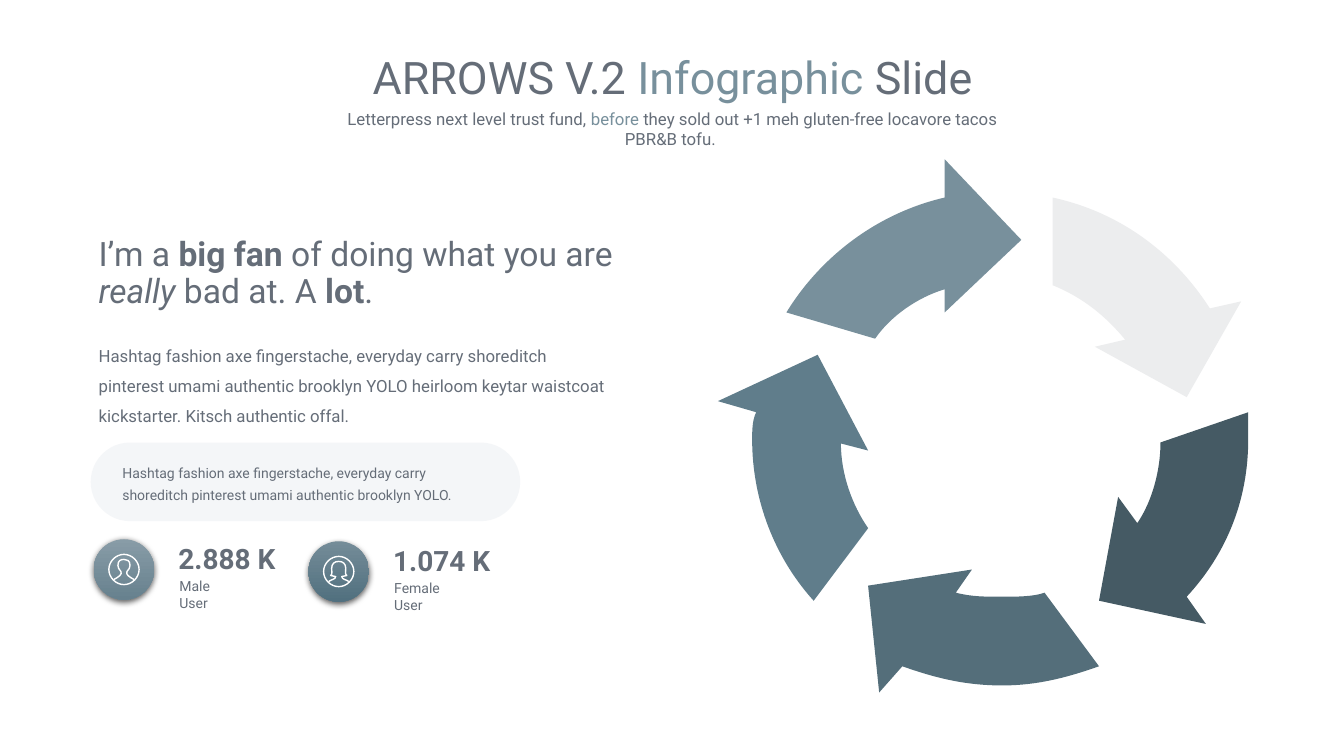
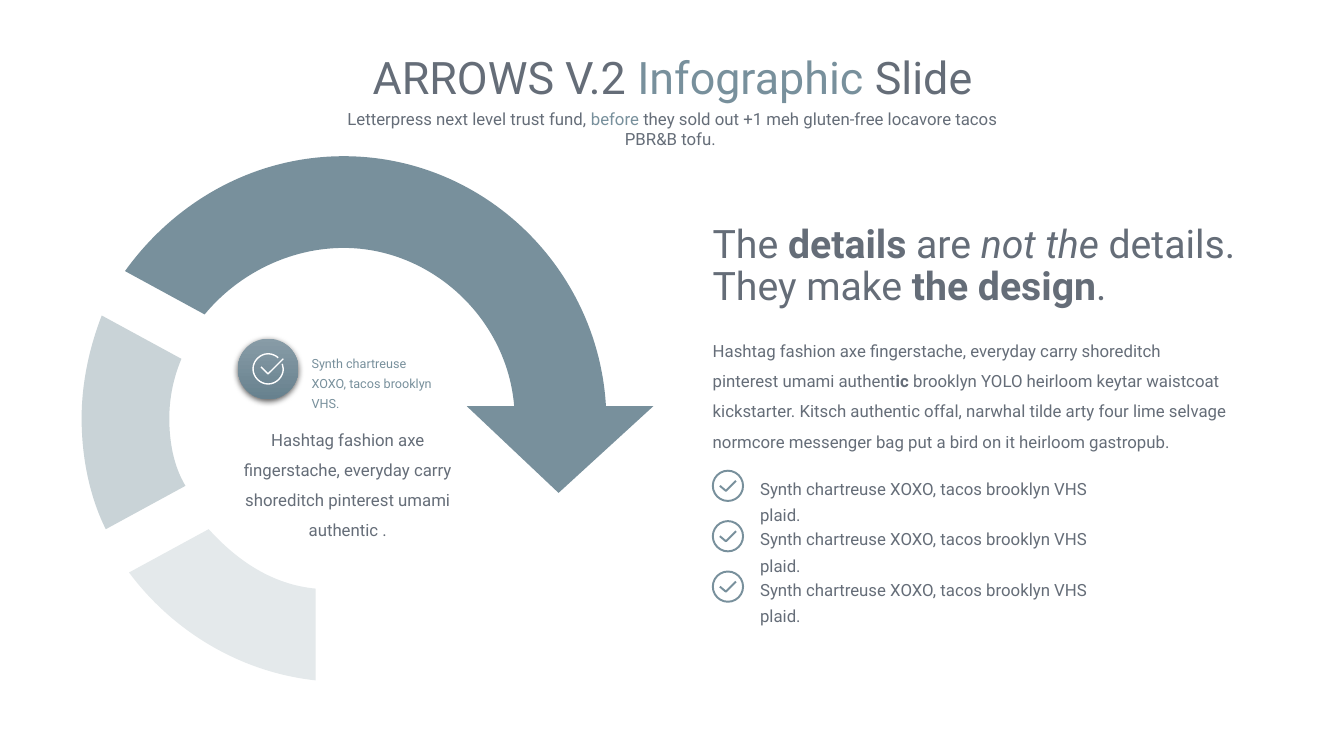
"""Build two arrow infographic slides."""
from dataclasses import dataclass
from typing import Any, NamedTuple, Optional

import lxml.etree
import pptx
import pptx.dml.color
import pptx.enum.shapes
import pptx.enum.text
import pptx.oxml.ns
import pptx.util

Inches = pptx.util.Inches
Pt = pptx.util.Pt
RGBColor = pptx.dml.color.RGBColor
Shape = pptx.enum.shapes.MSO_SHAPE
Align = pptx.enum.text.PP_ALIGN
qn = pptx.oxml.ns.qn

INK = RGBColor(0x65, 0x6D, 0x78)
STEEL = RGBColor(0x78, 0x90, 0x9C)
SLATE = RGBColor(0x60, 0x7D, 0x8B)
TEAL = RGBColor(0x54, 0x6E, 0x7A)
DARK = RGBColor(0x45, 0x5A, 0x64)
PALE = RGBColor(0xEC, 0xED, 0xEE)
MIST = RGBColor(0xE4, 0xE9, 0xEB)
FOG = RGBColor(0xC9, 0xD3, 0xD7)
CLOUD = RGBColor(0xD6, 0xDC, 0xE5)
WHITE = RGBColor(0xFF, 0xFF, 0xFF)
LIGHT = (RGBColor(0x88, 0x9C, 0xA7), RGBColor(0x67, 0x81, 0x8E))
DEEP = (RGBColor(0x74, 0x8C, 0x98), RGBColor(0x51, 0x70, 0x7F))
FONT = "Roboto"
DISC = 0.6

Step = tuple[float, ...]
Point = tuple[float, float]


class Run(NamedTuple):
    """A stretch of text with its own look."""
    text: str
    color: Optional[RGBColor] = None
    bold: bool = False
    slant: bool = False


class Box(NamedTuple):
    """A frame in inches."""
    left: float
    top: float
    width: float
    height: float


@dataclass
class Style:
    """The look of a paragraph."""
    size: float
    color: RGBColor = INK
    space: float = 1.0
    align: Any = Align.LEFT
    bold: bool = False
    inset: tuple[float, float] = (0.1, 0.05)


@dataclass
class Arrow:
    """A filled outline of points and curves."""
    fill: RGBColor
    steps: list[Step]


@dataclass
class Stat:
    """A user count with its badge."""
    left: float
    top: float
    count: str
    label: str
    shades: tuple[RGBColor, RGBColor]
    half: list[Step]


TITLE = Style(32, align=Align.CENTER)
SUB = Style(12, align=Align.CENTER)
BODY = Style(12, space=1.5)
ITEM = Style(12, space=1.3)
PILL = Style(10, space=1.3, inset=(0.2, 0.05))
COUNT = Style(20, bold=True)
LABEL = Style(10, inset=(0, 0))

CYCLE = [
    Arrow(STEEL, [(10.13, 2.38), (9.37, 1.58), (9.37, 1.96), (8.72, 2.11, 8.15, 2.53, 7.8, 3.1),
                  (8.68, 3.36), (8.83, 3.14, 9.1, 2.95, 9.37, 2.87), (9.37, 3.1)]),
    Arrow(SLATE, [(8.11, 3.52), (7.12, 3.98), (7.5, 4.09), (7.46, 4.17, 7.46, 4.28, 7.46, 4.36),
                  (7.46, 4.97, 7.69, 5.54, 8.07, 5.96), (8.61, 5.24),
                  (8.45, 5.01, 8.34, 4.7, 8.34, 4.4), (8.61, 4.47)]),
    Arrow(TEAL, [(9.64, 5.65), (8.61, 5.81), (8.72, 6.87), (8.95, 6.61),
                 (9.26, 6.72, 9.56, 6.8, 9.94, 6.8), (10.29, 6.8, 10.59, 6.72, 10.9, 6.61),
                 (10.36, 5.88), (10.25, 5.92, 10.09, 5.92, 9.94, 5.92),
                 (9.75, 5.92, 9.64, 5.92, 9.48, 5.88)]),
    Arrow(DARK, [(12.38, 4.09), (11.51, 4.39), (11.51, 4.66, 11.43, 4.97, 11.28, 5.19),
                 (11.09, 4.93), (10.9, 5.96), (11.96, 6.19), (11.77, 5.92),
                 (12.16, 5.5, 12.38, 4.97, 12.38, 4.36)]),
    Arrow(PALE, [(10.44, 1.96), (10.44, 2.83), (10.74, 2.95, 10.97, 3.14, 11.16, 3.37),
                 (10.86, 3.44), (11.77, 3.94), (12.31, 2.99), (12, 3.06),
                 (11.66, 2.53, 11.13, 2.11, 10.44, 1.96)]),
]
SWEEP = [
    Arrow(MIST, [(2.07, 5.25), (1.28, 5.68), (1.72, 6.27, 2.39, 6.67, 3.13, 6.75),
                 (3.13, 5.84), (2.7, 5.8, 2.35, 5.56, 2.07, 5.25)]),
    Arrow(FOG, [(1.01, 3.13), (0.89, 3.44, 0.81, 3.79, 0.81, 4.15),
                (0.81, 4.54, 0.89, 4.93, 1.05, 5.25), (1.84, 4.82),
                (1.72, 4.62, 1.68, 4.38, 1.68, 4.15), (1.68, 3.95, 1.72, 3.75, 1.8, 3.56)]),
    Arrow(STEEL, [(6.01, 4.03), (5.93, 2.65, 4.79, 1.55, 3.41, 1.55),
                  (2.5, 1.55, 1.72, 2.02, 1.24, 2.69), (2.03, 3.12),
                  (2.35, 2.73, 2.86, 2.46, 3.41, 2.46), (4.28, 2.46, 5.03, 3.16, 5.1, 4.03),
                  (4.63, 4.03), (5.54, 4.89), (6.48, 4.03)]),
]
MALE = [(-0.1, 0.1), (-0.08, 0.08, -0.05, 0.08, -0.04, 0.06),
        (-0.02, 0.05, -0.03, 0.03, -0.03, 0.02), (-0.05, 0, -0.06, -0.02, -0.06, -0.04),
        (-0.06, -0.09, -0.03, -0.1, 0, -0.1)]
FEMALE = [(-0.1, 0.1), (-0.08, 0.08, -0.03, 0.08, -0.03, 0.05), (-0.08, 0.04),
          (-0.06, 0.03, -0.07, -0.01, -0.07, -0.03), (-0.07, -0.08, -0.04, -0.1, 0, -0.1)]
ARCS = [(0.15, 0.08, 0.08, 0.15, 0, 0.15), (-0.08, 0.15, -0.15, 0.08, -0.15, 0),
        (-0.15, -0.08, -0.08, -0.15, 0, -0.15), (0.08, -0.15, 0.15, -0.08, 0.15, 0)]
RING = [(0.15, 0), *ARCS]
GAP = [(0.14, -0.05), (0.15, -0.03, 0.15, -0.02, 0.15, 0), *ARCS[:3],
       (0.04, -0.15, 0.08, -0.13, 0.1, -0.11)]
TICK = [(-0.07, -0.02), (0, 0.05), (0.15, -0.1)]
STATS = [Stat(0.93, 5.35, "2.888 K", "Male User", LIGHT, MALE),
         Stat(3.06, 5.37, "1.074 K", "Female User", DEEP, FEMALE)]


def flat(steps: list[Step]) -> list[Point]:
    """List every point and handle in order."""
    return [(step[k], step[k + 1]) for step in steps for k in range(0, len(step), 2)]


def mirror(half: list[Step]) -> list[Step]:
    """Join a left half to its reflection."""
    spots = iter([(-x, y) for x, y in reversed(flat(half)[:-1])])
    back = [tuple(v for _ in range(len(step) // 2) for v in next(spots))
            for step in reversed(half[1:])]
    return half + back


def paint(shape: Any, fill: Optional[RGBColor], line: Optional[RGBColor], width: float) -> None:
    """Set fill and line, and drop the shadow."""
    shape.shadow.inherit = False
    if fill is None:
        shape.fill.background()
    else:
        shape.fill.solid()
        shape.fill.fore_color.rgb = fill
    if line is None:
        shape.line.fill.background()
    else:
        shape.line.color.rgb = line
        shape.line.width = Pt(width)


def draw(slide: Any, *parts: list[Step], at: Point = (0, 0), fill: Optional[RGBColor] = None,
         line: Optional[RGBColor] = None, width: float = 1.0) -> None:
    """Draw outlines with true curves as one shape, closed when filled."""
    form = None
    for steps in parts:
        spots = [(Inches(x + at[0]), Inches(y + at[1])) for x, y in flat(steps)]
        if form is None:
            form = slide.shapes.build_freeform(*spots[0], scale=1.0)
        else:
            form.move_to(*spots[0])
        form.add_line_segments(spots[1:], close=fill is not None)
    shape = form.convert_to_shape()
    lines = iter(list(shape.element.iter(qn("a:lnTo"))))
    for step in (step for steps in parts for step in steps[1:]):
        node = next(lines)
        if len(step) == 6:
            node.tag = qn("a:cubicBezTo")
            for _ in range(2):
                extra = next(lines)
                node.append(extra[0])
                extra.getparent().remove(extra)
    paint(shape, fill, line, width)


def place(slide: Any, kind: Any, box: Box, fill: Optional[RGBColor] = None,
          line: Optional[RGBColor] = None, width: float = 1.0) -> Any:
    """Add a preset shape."""
    shape = slide.shapes.add_shape(kind, *map(Inches, box))
    paint(shape, fill, line, width)
    return shape


def fill_text(shape: Any, runs: list[Run], style: Style) -> None:
    """Write one paragraph into a shape."""
    frame = shape.text_frame
    frame.word_wrap = True
    side, edge = map(Inches, style.inset)
    frame.margin_left = frame.margin_right = side
    frame.margin_top = frame.margin_bottom = edge
    para = frame.paragraphs[0]
    para.alignment = style.align
    para.line_spacing = style.space
    para.font.name = FONT
    para.font.size = Pt(style.size)
    para.font.bold = style.bold
    para.font.color.rgb = style.color
    for item in runs:
        run = para.add_run()
        run.text = item.text
        if item.color:
            run.font.color.rgb = item.color
        if item.bold:
            run.font.bold = True
        if item.slant:
            run.font.italic = True


def write(slide: Any, box: Box, style: Style, *runs: Run) -> None:
    """Add a text box."""
    fill_text(slide.shapes.add_textbox(*map(Inches, box)), list(runs), style)


def badge(slide: Any, left: float, top: float, shades: tuple[RGBColor, RGBColor]) -> Point:
    """Draw a shaded disc and return its centre."""
    disc = place(slide, Shape.OVAL, Box(left, top, DISC, DISC))
    disc.fill.gradient()
    disc.fill.gradient_angle = 270
    for stop, shade in zip(disc.fill.gradient_stops, shades):
        stop.color.rgb = shade
    glow = lxml.etree.SubElement(
        disc.element.spPr.find(qn("a:effectLst")), qn("a:outerShdw"),
        blurRad=str(Pt(4.5)), dist=str(Pt(1.5)), dir="5400000", rotWithShape="0")
    tone = lxml.etree.SubElement(glow, qn("a:srgbClr"), val="000000")
    lxml.etree.SubElement(tone, qn("a:alpha"), val="63000")
    return left + DISC / 2, top + DISC / 2


def header(slide: Any) -> None:
    """Write the shared title and subtitle."""
    write(slide, Box(2.54, 0.44, 8.26, 0.64), TITLE,
          Run("ARROWS V.2 "), Run("Infographic ", STEEL), Run("Slide"))
    write(slide, Box(3.2, 1.03, 6.94, 0.3), SUB,
          Run("Letterpress next level trust fund, "), Run("before", STEEL),
          Run(" they sold out +1 meh gluten-free locavore tacos PBR&B tofu. "))


def show(slide: Any, stat: Stat) -> None:
    """Draw a user count."""
    spot = badge(slide, stat.left, stat.top, stat.shades)
    draw(slide, RING, mirror(stat.half), at=spot, line=WHITE)
    write(slide, Box(stat.left + 0.74, stat.top - 0.03, 1.18, 0.44), COUNT, Run(stat.count))
    write(slide, Box(stat.left + 0.85, stat.top + 0.38, 0.55, 0.34), LABEL, Run(stat.label))


def users(slide: Any) -> None:
    """Build the slide with the arrow cycle."""
    header(slide)
    for arrow in CYCLE:
        draw(slide, arrow.steps, fill=arrow.fill)
    write(slide, Box(0.88, 2.31, 5.46, 0.83), Style(24, space=0.9),
          Run("I’m a "), Run("big fan ", bold=True), Run("of doing what you are "),
          Run("really", slant=True), Run(" bad at. A "), Run("lot", bold=True), Run("."))
    write(slide, Box(0.88, 3.28, 5.32, 1.01), BODY,
          Run("Hashtag fashion axe fingerstache, everyday carry shoreditch pinterest umami "
              "authentic brooklyn YOLO heirloom keytar waistcoat kickstarter. Kitsch "
              "authentic offal."))
    pill = place(slide, Shape.ROUNDED_RECTANGLE, Box(0.9, 4.39, 4.26, 0.78), CLOUD)
    pill.adjustments[0] = 0.5
    tone = pill.element.spPr.find(qn("a:solidFill")).find(qn("a:srgbClr"))
    lxml.etree.SubElement(tone, qn("a:alpha"), val="25000")
    pill.text_frame.vertical_anchor = pptx.enum.text.MSO_ANCHOR.MIDDLE
    fill_text(pill, [Run("Hashtag fashion axe fingerstache, everyday carry shoreditch "
                         "pinterest umami authentic brooklyn YOLO.")], PILL)
    for stat in STATS:
        show(slide, stat)


def details(slide: Any) -> None:
    """Build the slide with the sweeping arrow."""
    header(slide)
    for arrow in SWEEP:
        draw(slide, arrow.steps, fill=arrow.fill)
    write(slide, Box(3.09, 3.49, 1.28, 0.47), Style(9, STEEL, 1.3, inset=(0, 0)),
          Run("Synth chartreuse XOXO, tacos brooklyn VHS."))
    draw(slide, GAP, TICK, at=badge(slide, 2.36, 3.36, LIGHT), line=WHITE)
    write(slide, Box(2.31, 4.11, 2.28, 1.28), Style(12, space=1.5, align=Align.CENTER),
          Run("Hashtag fashion axe fingerstache, everyday carry shoreditch pinterest umami "
              "authentic ."))
    write(slide, Box(6.97, 2.18, 5.46, 0.95), Style(28, space=0.9),
          Run("The "), Run("details", bold=True), Run(" are "), Run("not the ", slant=True),
          Run("details. They make "), Run("the design", bold=True), Run("."))
    write(slide, Box(6.97, 3.23, 5.32, 1.31), BODY,
          Run("Hashtag fashion axe fingerstache, everyday carry shoreditch pinterest umami "
              "authent"), Run("ic ", bold=True),
          Run("brooklyn YOLO heirloom keytar waistcoat kickstarter. Kitsch authentic offal, "
              "narwhal tilde arty four lime selvage normcore messenger bag put a bird on it "
              "heirloom gastropub."))
    for row in range(3):
        top = 4.67 + 0.5 * row
        place(slide, Shape.OVAL, Box(7.07, top, 0.3, 0.3), line=STEEL, width=1.38)
        draw(slide, [(0.07, 0.15), (0.13, 0.2), (0.23, 0.1)], at=(7.07, top),
             line=STEEL, width=1.38)
        write(slide, Box(7.44, top - 0.03, 3.55, 0.34), ITEM,
              Run("Synth chartreuse XOXO, tacos brooklyn VHS plaid."))


def main() -> None:
    """Build and save the deck."""
    deck = pptx.Presentation()
    deck.slide_width, deck.slide_height = Inches(13.33), Inches(7.5)
    for build in (users, details):
        build(deck.slides.add_slide(deck.slide_layouts[6]))
    deck.save("out.pptx")


if __name__ == "__main__":
    main()
